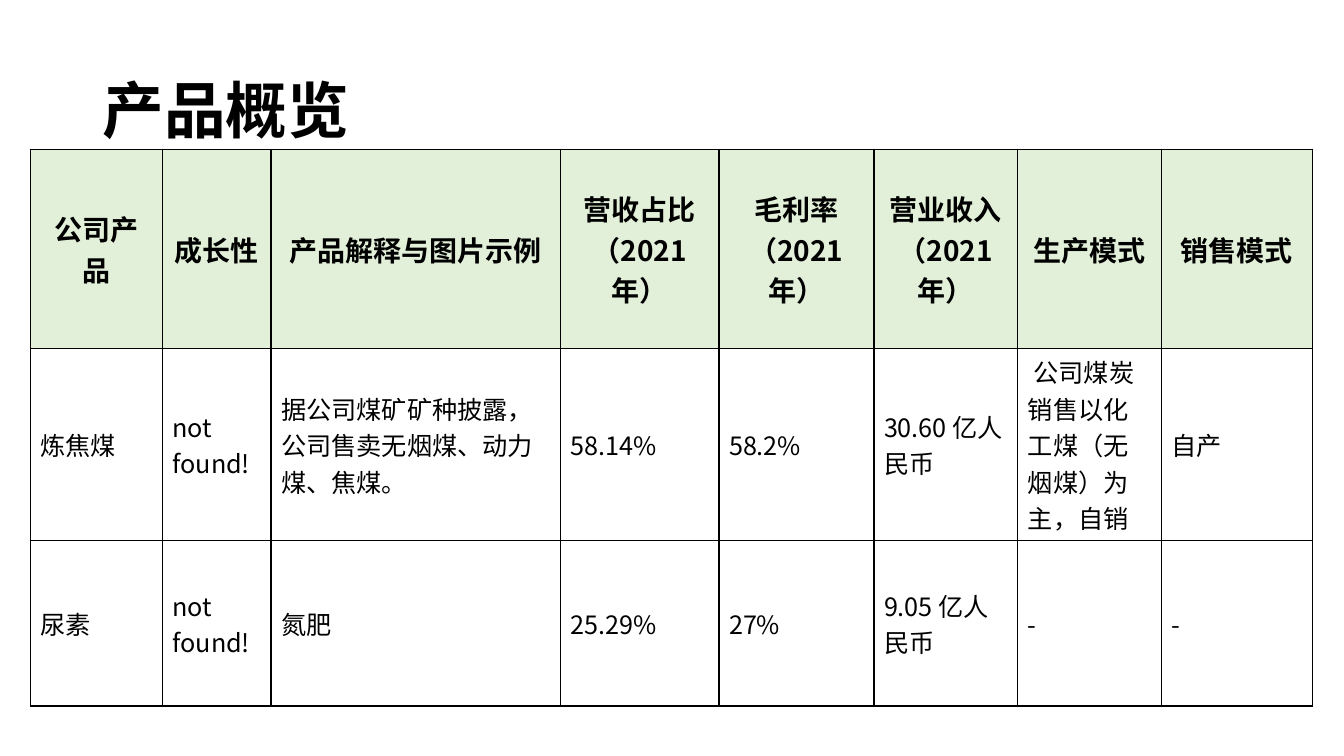
from lxml import etree
from pptx import Presentation
from pptx.dml.color import RGBColor
from pptx.enum.text import MSO_ANCHOR, PP_ALIGN
from pptx.oxml.ns import qn
from pptx.util import Pt

MID = MSO_ANCHOR.MIDDLE
LEFT, CENTER = PP_ALIGN.LEFT, PP_ALIGN.CENTER
FONT = "Noto Sans CJK SC"
COLORS = {"ink": "000000", "head": "E2F0D9", "body": "FFFFFF"}
WIDTHS = [94.5, 77.5, 207, 113, 110.7, 102.8, 102.4, 108.3]
HEIGHTS = [142.2, 118, 118]
ROWS = [
    ["公司产品", "成长性", "产品解释与图片示例", "营收占比\n（2021年）",
     "毛利率\n（2021年）", "营业收入（2021年）", "生产模式", "销售模式"],
    ["炼焦煤", "not found!", "据公司煤矿矿种披露，公司售卖无烟煤、动力煤、焦煤。",
     "58.14%", "58.2%", "30.60 亿人民币",
     " 公司煤炭销售以化工煤（无烟煤）为主，自销", "自产"],
    ["尿素", "not found!", "氮肥", "25.29%", "27%", "9.05 亿人民币", "-", "-"],
]


def style(frame, size, bold, align):
    """Format every run and paragraph of a text frame."""
    for para in frame.paragraphs:
        para.alignment = align
        for run in para.runs:
            font = run.font
            font.name, font.size, font.bold = FONT, Pt(size), bold
            font.color.rgb = RGBColor.from_string(COLORS["ink"])
            east = etree.Element(qn("a:ea"), typeface=FONT)
            font._element.find(qn("a:latin")).addnext(east)


def border(cell):
    """Draw a thin line on all four sides of a cell."""
    props = cell._tc.get_or_add_tcPr()
    for side in ("lnL", "lnR", "lnT", "lnB"):
        line = etree.SubElement(props, qn("a:" + side), w=str(Pt(1)))
        fill = etree.SubElement(line, qn("a:solidFill"))
        etree.SubElement(fill, qn("a:srgbClr"), val=COLORS["ink"])


def add_title(slide, x, y, w, h):
    """Place the slide title in its box."""
    title = slide.shapes.title
    title.left, title.top, title.width, title.height = map(Pt, (x, y, w, h))
    frame = title.text_frame
    frame.text = "产品概览"
    frame.vertical_anchor = MID
    frame.paragraphs[0].line_spacing = 0.9
    style(frame, 44, True, LEFT)


def add_grid(slide, x, y):
    """Place the product table with its top left corner at x, y."""
    box = map(Pt, (x, y, sum(WIDTHS), sum(HEIGHTS)))
    table = slide.shapes.add_table(len(ROWS), len(WIDTHS), *box).table
    table.first_row = table.horz_banding = False
    for col, width in zip(table.columns, WIDTHS):
        col.width = Pt(width)
    for i, (row, height) in enumerate(zip(table.rows, HEIGHTS)):
        row.height = Pt(height)
        head = i == 0
        for cell, text in zip(row.cells, ROWS[i]):
            cell.text_frame.text = text
            cell.vertical_anchor = MID
            style(cell.text_frame, 20 if head else 18, head,
                  CENTER if head else LEFT)
            border(cell)
            cell.fill.solid()
            tone = COLORS["head" if head else "body"]
            cell.fill.fore_color.rgb = RGBColor.from_string(tone)


def main():
    """Build and save the slide."""
    deck = Presentation()
    deck.slide_width, deck.slide_height = Pt(960), Pt(540)
    slide = deck.slides.add_slide(deck.slide_layouts[5])
    add_title(slide, 66, 28.8, 828, 104.4)
    add_grid(slide, 21.6, 106.6)
    deck.save("out.pptx")


if __name__ == "__main__":
    main()
